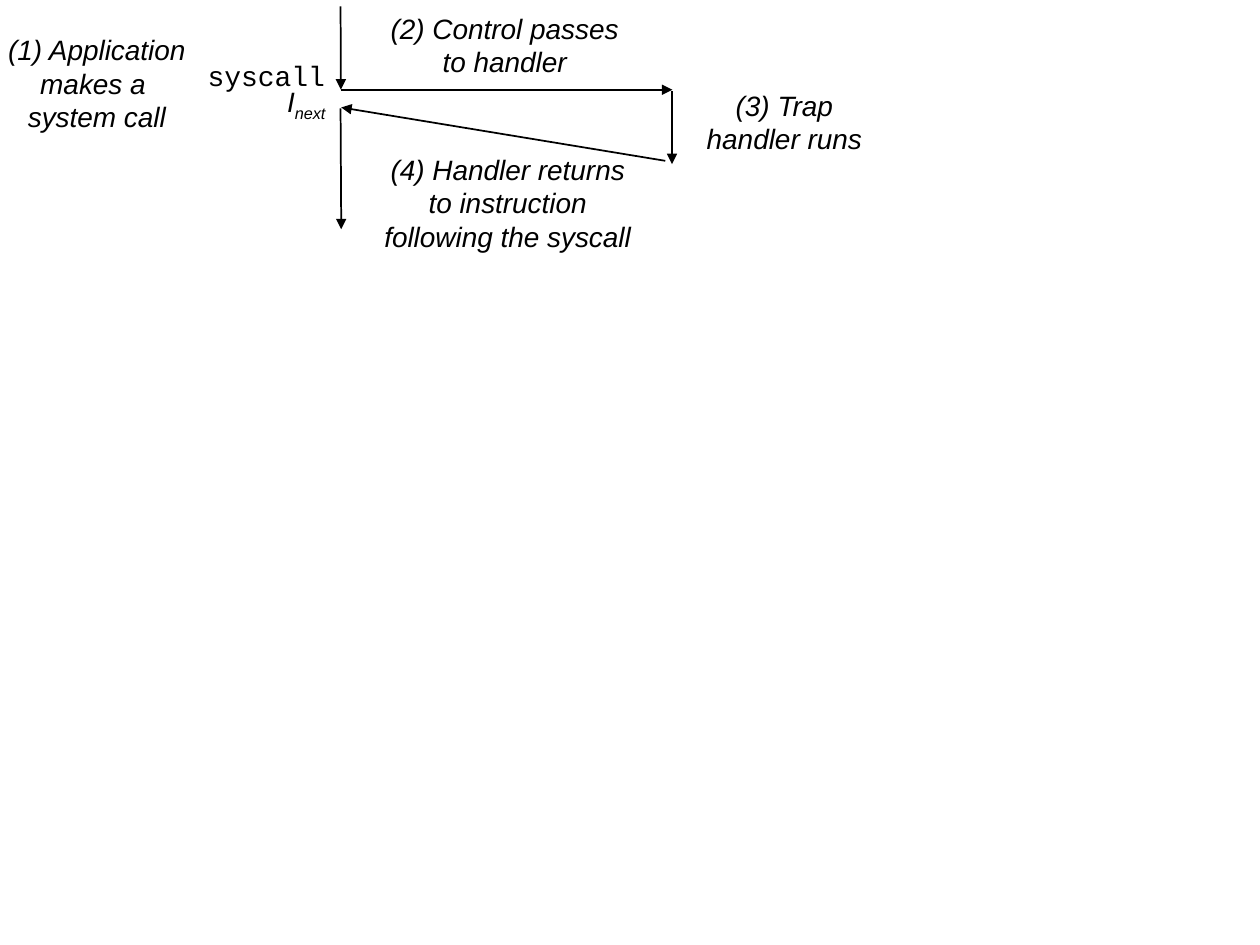
"""Build the slide that shows control flow through a trap handler."""
import pptx
import pptx.dml.color
import pptx.enum.shapes
import pptx.enum.text
import pptx.oxml
import pptx.oxml.ns
import pptx.util

Pt = pptx.util.Pt
BLACK = pptx.dml.color.RGBColor(0, 0, 0)
CENTER = pptx.enum.text.PP_ALIGN.CENTER
LEFT = pptx.enum.text.PP_ALIGN.LEFT
TOP = pptx.enum.text.MSO_ANCHOR.TOP
MIDDLE = pptx.enum.text.MSO_ANCHOR.MIDDLE


class Slide:
    FONT = {"name": "Arial", "size": Pt(16), "italic": True}
    CODE = {"name": "Courier New", "size": Pt(16), "italic": False}
    FRAME = {
        "margin_left": Pt(7.2), "margin_right": Pt(7.2),
        "margin_top": Pt(3.6), "margin_bottom": Pt(3.6),
        "auto_size": pptx.enum.text.MSO_AUTO_SIZE.SHAPE_TO_FIT_TEXT,
    }

    def __init__(self, prs):
        self.s = prs.slides.add_slide(prs.slide_layouts[6])

    def arrow(self, start, end):
        sp = self.s.shapes.add_connector(
            pptx.enum.shapes.MSO_CONNECTOR.STRAIGHT,
            *(Pt(v) for v in start + end))
        sp.line.width = Pt(1)
        sp.line.color.rgb = BLACK
        ln = sp.line._get_or_add_ln()
        ln.append(pptx.oxml.parse_xml(
            f'<a:tailEnd {pptx.oxml.ns.nsdecls("a")} type="triangle"/>'))
        sp._element.spPr.append(pptx.oxml.parse_xml(
            f'<a:effectLst {pptx.oxml.ns.nsdecls("a")}/>'))

    def text(self, box, lines, font=FONT, align=CENTER, anchor=TOP, wrap=False):
        sp = self.s.shapes.add_textbox(*(Pt(v) for v in box))
        tf = sp.text_frame
        frame = {**self.FRAME, "vertical_anchor": anchor, "word_wrap": wrap}
        for key, value in frame.items():
            setattr(tf, key, value)
        for i, line in enumerate(lines):
            p = tf.paragraphs[0] if i == 0 else tf.add_paragraph()
            p.alignment = align
            self.run(p, line, font)
        return sp

    def run(self, p, text, font=FONT):
        r = p.add_run()
        r.text = text
        for key, value in font.items():
            setattr(r.font, key, value)
        r.font.color.rgb = BLACK
        return r

    def subscripted(self, box, base, subscript):
        sp = self.text(box, [base], align=LEFT)
        r = self.run(sp.text_frame.paragraphs[0], subscript)
        r.font._element.set("baseline", "-25000")


def main():
    prs = pptx.Presentation()
    prs.slide_width, prs.slide_height = Pt(720), Pt(540)
    slide = Slide(prs)

    arrows = [
        ((194.6, 3.6), (194.8, 51.2)),
        ((195, 51.3), (384.2, 51.3)),
        ((384, 52), (384, 93.8)),
        ((380.2, 91.9), (195, 61.4)),
        ((194.6, 62), (195, 131)),
    ]
    for start, end in arrows:
        slide.arrow(start, end)

    slide.text((216, 2.9, 144.7, 45.4), ["(2) Control passes", "to handler"])
    slide.text((389.5, 46.8, 117.4, 45.4), ["(3) Trap handler runs"], wrap=True)
    slide.text((212.4, 83.5, 155.5, 64.8),
               ["(4) Handler returns", "to instruction", "following the syscall"])
    slide.text((111.6, 30.2, 81.4, 26.6), ["syscall"], Slide.CODE, LEFT)
    slide.subscripted((157, 44.6, 38, 29.5), "I", "next")
    slide.text((-2.6, 15.1, 115.9, 64.8),
               ["(1) Application", "makes a ", "system call"], anchor=MIDDLE)

    prs.save("out.pptx")


if __name__ == "__main__":
    main()
